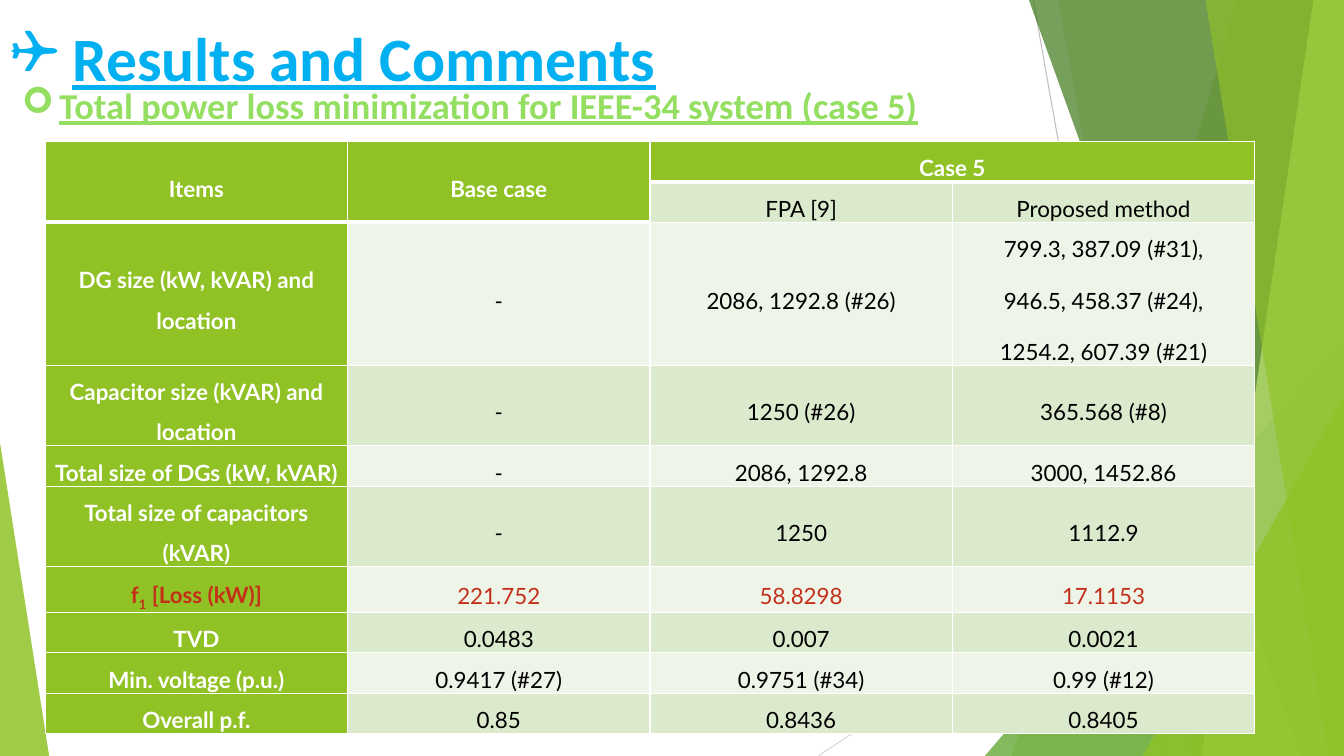
"""Build the slide of results for power loss minimization."""
from dataclasses import dataclass

from lxml.etree import SubElement
from pptx import Presentation
from pptx.dml.color import RGBColor
from pptx.enum.shapes import MSO_CONNECTOR, MSO_SHAPE
from pptx.enum.text import MSO_ANCHOR, MSO_AUTO_SIZE, PP_ALIGN
from pptx.oxml.ns import qn
from pptx.util import Cm, Pt

PAGE_WIDTH, PAGE_HEIGHT = 33.87, 19.05
GREEN, WHITE, BLACK, RED = "90C226", "FFFFFF", "000000", "C42F1A"
STRIPES = ("EEF4E8", "DBE9CD")


@dataclass
class Ray:
    start: tuple[float, float]
    end: tuple[float, float]
    color: str


@dataclass
class Band:
    top_x: float
    bottom_x: float
    color: str
    opacity: int


@dataclass
class Wedge:
    left: float
    width: float
    height: float
    apex: int
    color: str
    opacity: int


@dataclass
class Heading:
    text: str
    bullet: str
    indent: float
    size: int
    color: str


@dataclass
class Row:
    height: float
    texts: tuple[str, ...]


RAYS = (
    Ray((26.04, 0), (29.41, PAGE_HEIGHT), "BFBFBF"),
    Ray((PAGE_WIDTH, 10.24), (20.62, PAGE_HEIGHT), "D9D9D9"),
)
FACETS = (
    Band(31.19, 25.5, GREEN, 30),
    Band(26.67, 30.05, GREEN, 20),
    Wedge(24.82, 9.05, 10.59, 1, "54A021", 72),
    Band(25.93, 32.79, "3F7819", 70),
    Band(33.1, 30.28, "C0E474", 70),
    Band(30.38, 33.48, GREEN, 65),
    Wedge(28.8, 5.07, 9.07, 1, GREEN, 80),
    Wedge(0, 1.24, 7.9, 0, GREEN, 85),
)
TITLE = Heading("Results and Comments", "❑", 1.57, 44, "00B0F0")
SUBTITLE = Heading("Total power loss minimization for IEEE-34 system (case 5)", "➢", 0.95, 26, "94DE61")
LOSS_ROW = 6
ROWS = (
    Row(1.02, ("Items", "Base case", "Case 5", "")),
    Row(1.02, ("", "", "FPA [9]", "Proposed method")),
    Row(3.6, ("DG size (kW, kVAR) and location", "-", "2086, 1292.8 (#26)",
              "799.3, 387.09 (#31),\n946.5, 458.37 (#24),\n1254.2, 607.39 (#21)")),
    Row(2.03, ("Capacitor size (kVAR) and location", "-", "1250 (#26)", "365.568 (#8)")),
    Row(1.02, ("Total size of DGs (kW, kVAR)", "-", "2086, 1292.8", "3000, 1452.86")),
    Row(2.03, ("Total size of capacitors (kVAR)", "-", "1250", "1112.9")),
    Row(1.15, ("f_1_ [Loss (kW)]", "221.752", "58.8298", "17.1153")),
    Row(1.02, ("TVD", "0.0483", "0.007", "0.0021")),
    Row(1.02, ("Min. voltage (p.u.)", "0.9417 (#27)", "0.9751 (#34)", "0.99 (#12)")),
    Row(1.02, ("Overall p.f.", "0.85", "0.8436", "0.8405")),
)


def paint(target, color: str) -> None:
    """Give a fill a solid colour."""
    target.solid()
    target.fore_color.rgb = RGBColor.from_string(color)


def draw_ray(page, ray: Ray) -> None:
    """Draw one thin background line."""
    line = page.shapes.add_connector(
        MSO_CONNECTOR.STRAIGHT, *(Cm(value) for value in ray.start + ray.end))
    paint(line.line.fill, ray.color)
    line.line.width = Pt(0.75)
    SubElement(line._element.spPr, qn("a:effectLst"))


def draw_facet(page, facet: Band | Wedge) -> None:
    """Draw one translucent background facet."""
    if isinstance(facet, Band):
        outline = page.shapes.build_freeform(Cm(facet.top_x), 0)
        corners = ((PAGE_WIDTH, 0), (PAGE_WIDTH, PAGE_HEIGHT), (facet.bottom_x, PAGE_HEIGHT))
        outline.add_line_segments([(Cm(x), Cm(y)) for x, y in corners], close=True)
        shape = outline.convert_to_shape()
    else:
        shape = page.shapes.add_shape(
            MSO_SHAPE.ISOSCELES_TRIANGLE, Cm(facet.left), Cm(PAGE_HEIGHT - facet.height),
            Cm(facet.width), Cm(facet.height))
        shape.adjustments[0] = facet.apex
    shape.shadow.inherit = False
    shape.line.fill.background()
    paint(shape.fill, facet.color)
    color = shape._element.spPr.find(qn("a:solidFill")).find(qn("a:srgbClr"))
    SubElement(color, qn("a:alpha"), val=str(facet.opacity * 1000))


def write_heading(box, heading: Heading) -> None:
    """Write a bulleted, underlined heading into a box."""
    frame = box.text_frame
    frame.auto_size = MSO_AUTO_SIZE.NONE
    frame.vertical_anchor = MSO_ANCHOR.TOP
    frame.text = heading.text
    para = frame.paragraphs[0]
    para.alignment = PP_ALIGN.LEFT
    para.line_spacing = 1.5
    properties = para._p.get_or_add_pPr()
    properties.set("marL", str(Cm(heading.indent)))
    properties.set("indent", str(-Cm(heading.indent)))
    SubElement(properties, qn("a:buFont"), typeface="Wingdings")
    SubElement(properties, qn("a:buChar"), char=heading.bullet)
    font = para.runs[0].font
    font.name, font.size = "Calibri", Pt(heading.size)
    font.bold = font.underline = True
    paint(font.fill, heading.color)


def write_cell(cell, text: str, color: str, bold: bool) -> None:
    """Write centred cell text, with subscripts between underscores."""
    cell.vertical_anchor = MSO_ANCHOR.MIDDLE
    cell.margin_left = cell.margin_right = Cm(0.16)
    cell.margin_top = cell.margin_bottom = 0
    cell.text_frame.text = text
    for para in cell.text_frame.paragraphs:
        para.alignment = PP_ALIGN.CENTER
        para.line_spacing = 1.5
        para.space_after = Pt(8)
        parts = para.text.split("_")
        para.text = parts[0]
        for part in parts[1:]:
            para.add_run().text = part
        for index, span in enumerate(para.runs):
            span.font.name, span.font.size, span.font.bold = "Lato", Pt(16), bold
            paint(span.font.fill, color)
            if index % 2:
                span.font._element.set("baseline", "-25000")


def add_borders(cell, top: int, bottom: int) -> None:
    """Give a cell white borders."""
    properties = cell._tc.get_or_add_tcPr()
    for side, width in (("L", 1), ("R", 1), ("T", top), ("B", bottom)):
        line = SubElement(properties, qn(f"a:ln{side}"), w=str(Pt(width)))
        SubElement(SubElement(line, qn("a:solidFill")), qn("a:srgbClr"), val=WHITE)


def draw_results(page) -> None:
    """Draw the table of results."""
    height = sum(row.height for row in ROWS)
    table = page.shapes.add_table(
        len(ROWS), 4, Cm(1.14), Cm(3.56), Cm(30.48), Cm(height)).table
    for row_index, row in enumerate(ROWS):
        table.rows[row_index].height = Cm(row.height)
        for column, text in enumerate(row.texts):
            cell = table.cell(row_index, column)
            header_depth = 2 if column < 2 else 1
            is_header = column == 0 or row_index < header_depth
            plain = WHITE if is_header else BLACK
            write_cell(cell, text, RED if row_index == LOSS_ROW else plain, is_header)
            add_borders(cell, 3 if row_index == header_depth else 1,
                        3 if row_index < header_depth else 1)
            paint(cell.fill, GREEN if is_header else STRIPES[row_index % 2])
    for first, last in (((0, 0), (1, 0)), ((0, 1), (1, 1)), ((0, 2), (0, 3))):
        table.cell(*first).merge(table.cell(*last))


def main() -> None:
    """Build and save the deck."""
    deck = Presentation()
    deck.slide_width, deck.slide_height = Cm(PAGE_WIDTH), Cm(PAGE_HEIGHT)
    page = deck.slides.add_slide(deck.slide_layouts[5])
    for ray in RAYS:
        draw_ray(page, ray)
    for facet in FACETS:
        draw_facet(page, facet)
    title = page.shapes.title
    title.left, title.top, title.width, title.height = Cm(0), Cm(-0.56), Cm(16.94), Cm(2.8)
    write_heading(title, TITLE)
    title.text_frame.word_wrap = False
    subtitle = page.shapes.add_textbox(Cm(0.3), Cm(1.42), Cm(25.4), Cm(1.75))
    write_heading(subtitle, SUBTITLE)
    subtitle.text_frame.word_wrap = True
    draw_results(page)
    deck.save("out.pptx")


if __name__ == "__main__":
    main()
